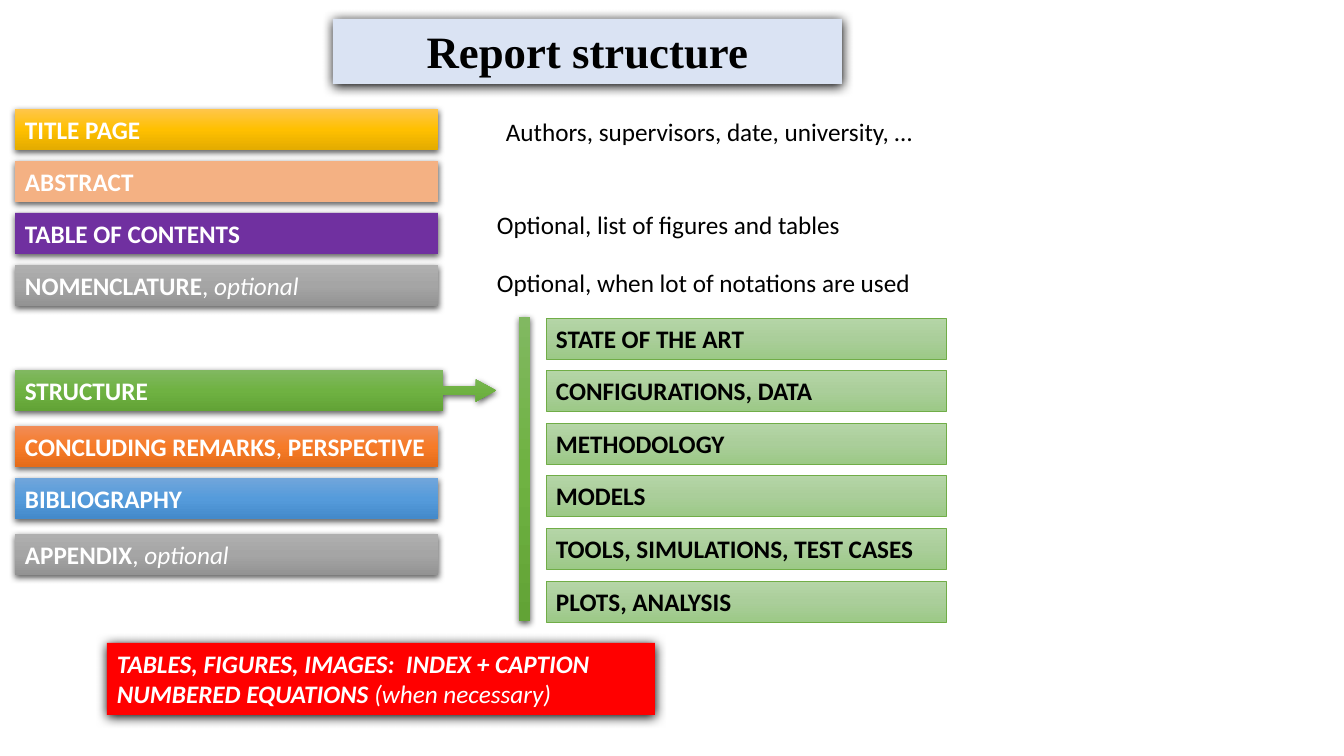
from dataclasses import dataclass
from typing import Optional

from lxml import etree
from pptx import Presentation
from pptx import util as u
from pptx.dml.color import RGBColor
from pptx.enum import shapes, text
from pptx.oxml.ns import qn

PX_PER_INCH = 100.8
ROW = 41

# One hex is a solid fill; three are the top, middle and bottom of a gradient.
COLOURS: dict[str, tuple[str, ...]] = {
    "black": ("000000",),
    "white": ("FFFFFF",),
    "pale": ("DAE3F3",),
    "red": ("FF0000",),
    "peach": ("F4B183",),
    "purple": ("7030A0",),
    "edge": ("70AD47",),
    "gold": ("FFC64B", "FFC000", "E3AB00"),
    "grey": ("AFAFAF", "A5A5A5", "939393"),
    "orange": ("F18C57", "F67B28", "E56C19"),
    "blue": ("71A6DB", "559BDB", "448ACA"),
    "green": ("81B861", "6FB242", "62A336"),
    "light": ("B5D5A7", "AACE9A", "9CC987"),
}

Line = tuple[tuple[str, str], ...]  # pairs of words and style: b bold, i italic


@dataclass(frozen=True)
class Shade:
    alpha: int  # percent
    blur: float  # points
    drop: float  # points


SOFT = Shade(63, 4.5, 1.5)
STRONG = Shade(100, 8.5, 1)


@dataclass(frozen=True)
class Box:
    left: int
    top: int
    width: int
    height: int
    fill: str
    lines: tuple[Line, ...] = ()
    ink: str = "white"
    edge: str = ""
    shade: Optional[Shade] = SOFT
    size: int = 18
    font: str = "Calibri"
    centre: bool = False
    adjust: tuple[float, ...] = ()  # given only for the arrow callout


@dataclass(frozen=True)
class Note:
    left: int
    top: int
    width: int
    words: str
    wrap: bool = False


def px(count: int) -> int:
    return round(u.Inches(count / PX_PER_INCH))


def rgb(name: str) -> RGBColor:
    return RGBColor.from_string(COLOURS[name][0])


def paint(shape, name: str) -> None:
    tones = COLOURS[name]
    if len(tones) == 1:
        shape.fill.solid()
        shape.fill.fore_color.rgb = rgb(name)
        return
    shape.fill.gradient()
    shape.fill.gradient_angle = 270
    stops = shape.element.spPr.find(".//" + qn("a:gsLst"))
    for stop in list(stops):
        stops.remove(stop)
    for place, tone in zip((0, 50000, 100000), tones):
        stop = etree.SubElement(stops, qn("a:gs"), pos=str(place))
        etree.SubElement(stop, qn("a:srgbClr"), val=tone)


def cast(shape, shade: Optional[Shade]) -> None:
    """Replace the theme shadow with the given one, or with none."""
    shape.shadow.inherit = False
    if shade is None:
        return
    effects = shape.element.spPr.find(qn("a:effectLst"))
    outer = etree.SubElement(
        effects, qn("a:outerShdw"), blurRad=str(u.Pt(shade.blur)),
        dist=str(u.Pt(shade.drop)), dir="5400000", algn="ctr", rotWithShape="0")
    tint = etree.SubElement(outer, qn("a:srgbClr"), val=COLOURS["black"][0])
    etree.SubElement(tint, qn("a:alpha"), val=str(shade.alpha * 1000))


def write(frame, lines: tuple[Line, ...], ink: str, size: int = 18,
          font: str = "Calibri", centre: bool = False) -> None:
    for count, line in enumerate(lines):
        para = frame.add_paragraph() if count else frame.paragraphs[0]
        para.alignment = text.PP_ALIGN.CENTER if centre else text.PP_ALIGN.LEFT
        for words, style in line:
            run = para.add_run()
            run.text = words
            run.font.name = font
            run.font.size = u.Pt(size)
            run.font.bold = "b" in style
            run.font.italic = "i" in style
            run.font.color.rgb = rgb(ink)


def draw_box(slide, box: Box) -> None:
    kind = shapes.MSO_SHAPE.RECTANGLE
    if box.adjust:
        kind = shapes.MSO_SHAPE.RIGHT_ARROW_CALLOUT
    shape = slide.shapes.add_shape(
        kind, px(box.left), px(box.top), px(box.width), px(box.height))
    for index, value in enumerate(box.adjust):
        shape.adjustments[index] = value
    paint(shape, box.fill)
    if box.edge:
        shape.line.color.rgb = rgb(box.edge)
        shape.line.width = u.Pt(0.5)
    else:
        shape.line.fill.background()
    cast(shape, box.shade)
    frame = shape.text_frame
    frame.word_wrap = True
    if box.lines and not box.adjust:
        frame.vertical_anchor = text.MSO_ANCHOR.TOP
        frame.auto_size = text.MSO_AUTO_SIZE.SHAPE_TO_FIT_TEXT
    write(frame, box.lines, box.ink, box.size, box.font, box.centre)


def draw_note(slide, note: Note) -> None:
    shape = slide.shapes.add_textbox(
        px(note.left), px(note.top), px(note.width), px(ROW))
    frame = shape.text_frame
    frame.word_wrap = note.wrap
    frame.auto_size = text.MSO_AUTO_SIZE.SHAPE_TO_FIT_TEXT
    write(frame, (((note.words, ""),),), "black")


HEAD = Box(333, 19, 509, 65, "pale", ((("Report structure", "b"),),),
           ink="black", shade=STRONG, size=32, font="Times New Roman", centre=True)
RULES = Box(107, 643, 548, 72, "red", (
    (("TABLES, FIGURES, IMAGES:  INDEX + CAPTION", "bi"),),
    (("NUMBERED EQUATIONS", "bi"), (" (when necessary)", "i")),
), shade=STRONG)
BODY = Box(15, 370, 481, ROW, "green", ((("STRUCTURE", "b"),),),
           adjust=(0.21, 0.27, 0.49, 0.89))
SPINE = Box(519, 317, 11, 304, "green")

OPTION: Line = ((", ", ""), ("optional", "i"))
PARTS: tuple[tuple[int, str, Line], ...] = (
    (109, "gold", (("TITLE PAGE", "b"),)),
    (161, "peach", (("ABSTRACT", "b"),)),
    (213, "purple", (("TABLE OF CONTENTS", "b"),)),
    (265, "grey", (("NOMENCLATURE", "b"), *OPTION)),
    (426, "orange", (("CONCLUDING REMARKS", "b"), (", ", ""), ("PERSPECTIVE", "b"))),
    (478, "blue", (("BIBLIOGRAPHY", "b"),)),
    (534, "grey", (("APPENDIX", "b"), *OPTION)),
)
TOPICS = ("STATE OF THE ART", "CONFIGURATIONS, DATA", "METHODOLOGY", "MODELS",
          "TOOLS, SIMULATIONS, TEST CASES", "PLOTS, ANALYSIS")
NOTES = (
    Note(496, 111, 463, "Authors, supervisors, date, university, …", wrap=True),
    Note(487, 204, 368, "Optional, list of figures and tables"),
    Note(487, 262, 438, "Optional, when lot of notations are used"),
)


def main() -> None:
    deck = Presentation()
    deck.slide_width, deck.slide_height = px(1344), px(756)
    slide = deck.slides.add_slide(deck.slide_layouts[6])
    bars = [Box(15, top, 423, ROW, fill, (line,)) for top, fill, line in PARTS]
    # The six topics share the height of the spine: five steps in 263 px.
    steps = [Box(546, 318 + index * 263 // 5, 400, ROW, "light", (((topic, "b"),),),
                 ink="black", edge="edge", shade=None)
             for index, topic in enumerate(TOPICS)]
    for box in (HEAD, *bars, BODY, SPINE, *steps, RULES):
        draw_box(slide, box)
    for note in NOTES:
        draw_note(slide, note)
    deck.save("out.pptx")


if __name__ == "__main__":
    main()
